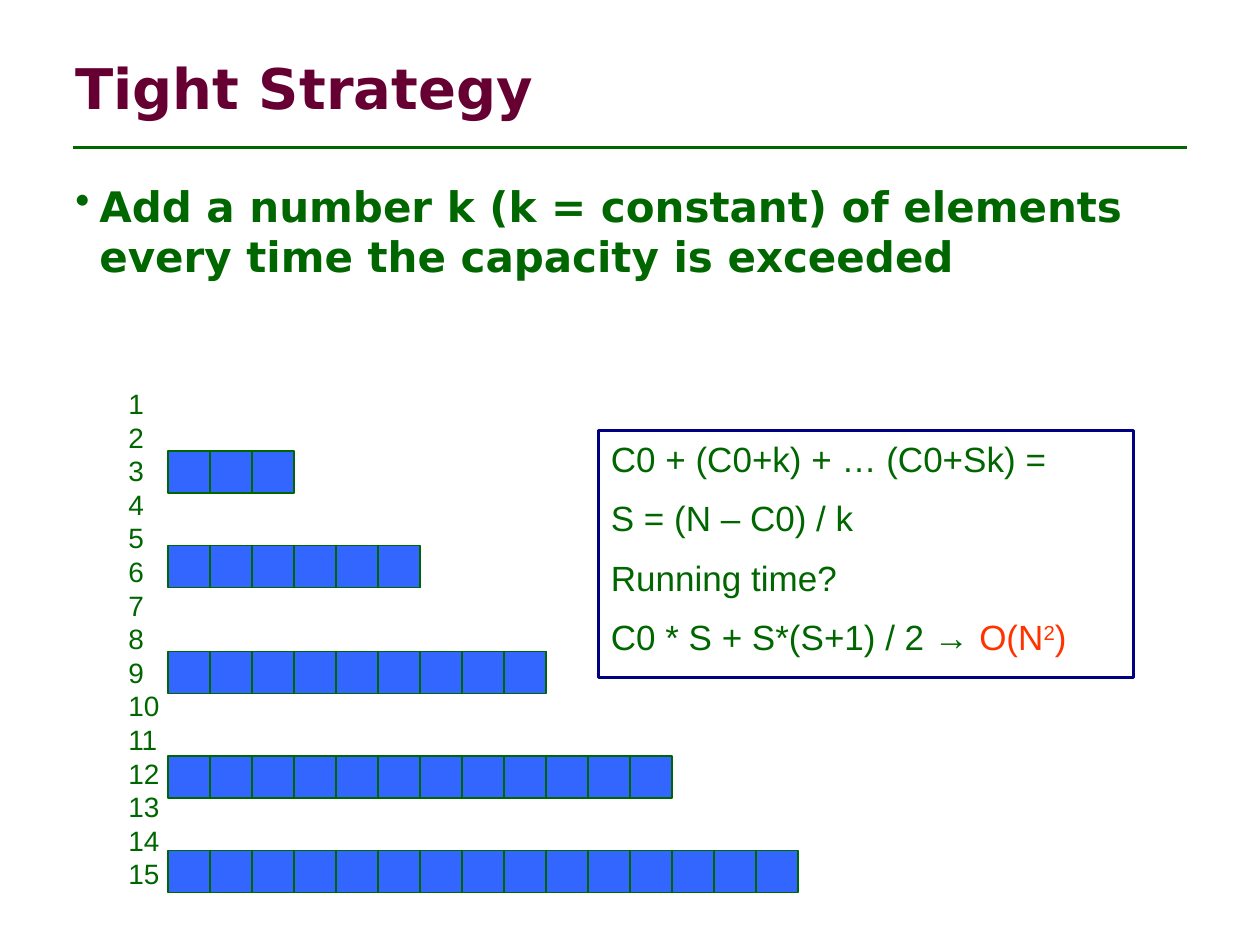
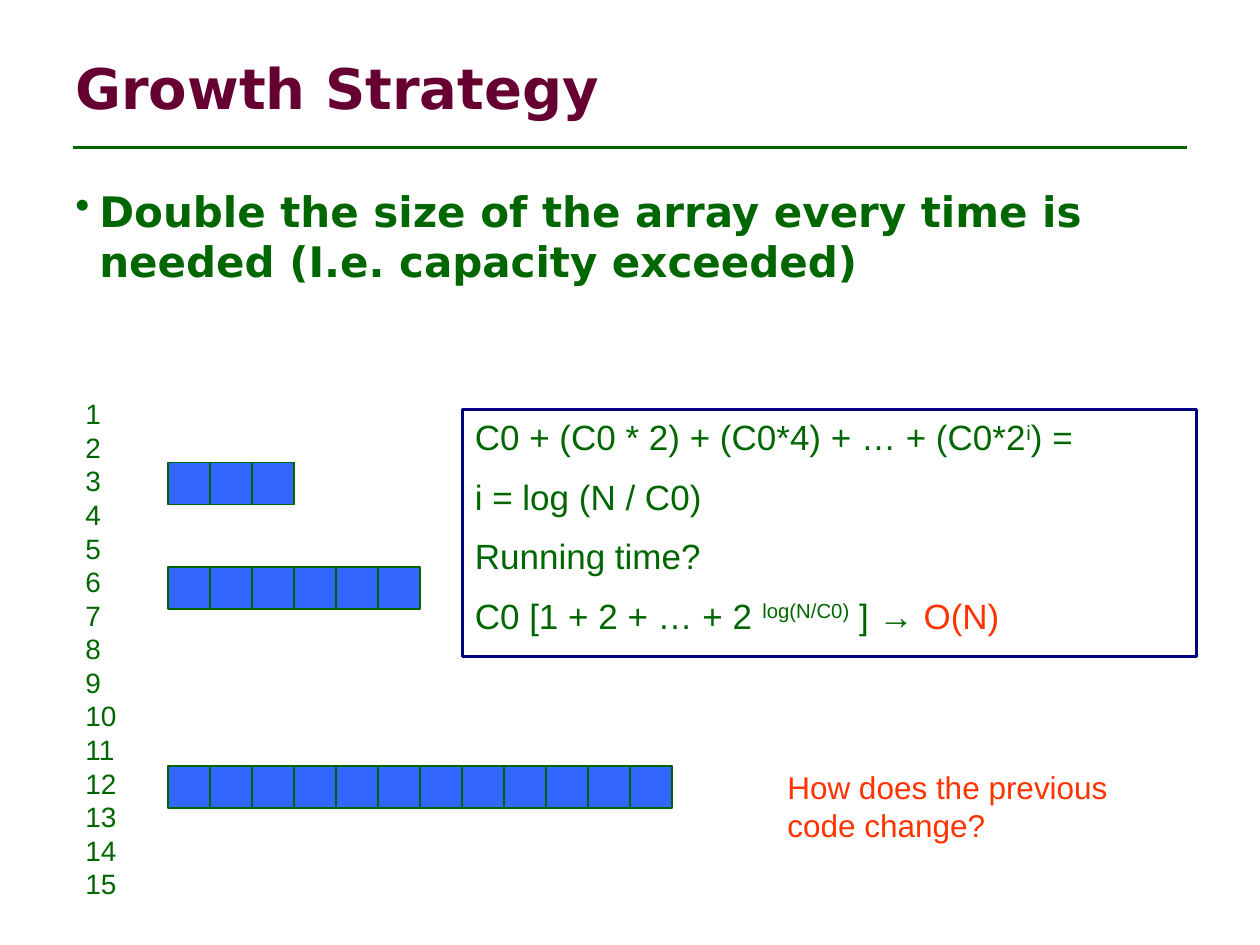
from lxml import etree
from pptx import Presentation
from pptx.dml.color import RGBColor
from pptx.enum.shapes import MSO_CONNECTOR, MSO_SHAPE
from pptx.enum.text import MSO_ANCHOR, PP_ALIGN
from pptx.oxml.ns import qn
from pptx.util import Inches, Pt

RECTANGLE = MSO_SHAPE.RECTANGLE
STRAIGHT = MSO_CONNECTOR.STRAIGHT
TOP, MIDDLE = MSO_ANCHOR.TOP, MSO_ANCHOR.MIDDLE
LEFT = PP_ALIGN.LEFT

GREEN = RGBColor(0x00, 0x66, 0x00)
MAROON = RGBColor(0x66, 0x00, 0x33)
BLUE = RGBColor(0x33, 0x66, 0xFF)
NAVY = RGBColor(0x00, 0x00, 0x80)
ORANGE = RGBColor(0xFF, 0x33, 0x00)

HEADING_FONT = "DejaVu Sans"
TEXT_FONT = "Arial"
CELL = 1 / 3
ARRAY_LEFT = 4 / 3
FIRST_BLOCK, ADDED_BLOCK = 6, 3


class Deck:
    def __init__(self):
        self.presentation = Presentation()
        self.presentation.slide_width = Inches(10)
        self.presentation.slide_height = Inches(7.5)
        self.slide = None

    def add_slide(self, title):
        layout = self.presentation.slide_layouts[6]
        self.slide = self.presentation.slides.add_slide(layout)
        self.line(self.slide.shapes, (0.58, 1.17), (9.42, 1.17), 1.5)
        frame = self.text_box(0.5, 0.3, 9, 0.78)
        frame.vertical_anchor = MIDDLE
        self.run(frame.paragraphs[0], title, 32, MAROON, HEADING_FONT, bold=True)

    def line(self, shapes, start, end, width):
        ends = [Inches(value) for value in (*start, *end)]
        connector = shapes.add_connector(STRAIGHT, *ends)
        connector.line.color.rgb = GREEN
        connector.line.width = Pt(width)
        etree.SubElement(connector._element.spPr, qn("a:effectLst"))

    def rectangle(self, shapes, left, top, width, height, line_color, line_width):
        box = shapes.add_shape(
            RECTANGLE, Inches(left), Inches(top), Inches(width), Inches(height))
        box.shadow.inherit = False
        box.fill.background()
        box.line.color.rgb = line_color
        box.line.width = Pt(line_width)
        return box

    def text_box(self, left, top, width, height):
        box = self.slide.shapes.add_textbox(
            Inches(left), Inches(top), Inches(width), Inches(height))
        box.text_frame.word_wrap = True
        return box.text_frame

    def run(self, paragraph, text, size, color=GREEN, font=TEXT_FONT,
            bold=False, raised=False):
        run = paragraph.add_run()
        run.text = text
        run.font.size = Pt(size)
        run.font.name = font
        run.font.bold = bold
        run.font.color.rgb = color
        if raised:
            run.font._element.set("baseline", "30000")

    def space_before(self, paragraph, percent):
        paragraph.space_before = Pt(0)
        spacing = paragraph._p.pPr.find(qn("a:spcBef"))
        spacing.clear()
        etree.SubElement(spacing, qn("a:spcPct"), val=str(percent * 1000))

    def lines(self, frame, texts, size, color=GREEN):
        for index, text in enumerate(texts):
            paragraph = frame.add_paragraph() if index else frame.paragraphs[0]
            self.run(paragraph, text, size, color)

    def bullet(self, text, top):
        paragraph = self.text_box(0.5, top, 9, 5.28).paragraphs[0]
        self.space_before(paragraph, 20)
        properties = paragraph._p.pPr
        properties.set("marL", str(Inches(0.19)))
        properties.set("indent", str(-Inches(0.19)))
        etree.SubElement(properties, qn("a:buChar"), char="•")
        self.run(paragraph, text, 24, GREEN, HEADING_FONT, bold=True)

    def array(self, cells, top):
        start = 0
        while start < cells:
            wide = start == 0 and cells >= FIRST_BLOCK
            count = FIRST_BLOCK if wide else ADDED_BLOCK
            self.block(start, count, top)
            start += count

    def block(self, start, count, top):
        shapes = self.slide.shapes.add_group_shape().shapes
        left = ARRAY_LEFT + start * CELL
        body = self.rectangle(shapes, left, top, count * CELL, CELL, GREEN, 0.75)
        body.fill.solid()
        body.fill.fore_color.rgb = BLUE
        for cell in range(1, count + 1):
            edge = left + cell * CELL
            self.line(shapes, (edge, top), (edge, top + CELL), 0.75)

    def insert_counts(self, left, top, width):
        frame = self.text_box(left, top, width, 4.14)
        self.lines(frame, [str(count) for count in range(1, 16)], 16)

    def formulas(self, left, top, width, rows):
        box = self.rectangle(self.slide.shapes, left, top, width, 1.96, NAVY, 1.75)
        frame = box.text_frame
        frame.word_wrap = True
        frame.vertical_anchor = TOP
        for index, row in enumerate(rows):
            paragraph = frame.add_paragraph() if index else frame.paragraphs[0]
            paragraph.alignment = LEFT
            self.space_before(paragraph, 50)
            for text, style in row:
                self.run(paragraph, text, 20, **style)

    def question(self, texts):
        self.lines(self.text_box(6.15, 6.05, 3.35, 0.9), texts, 18, ORANGE)


PLAIN = {}
RAISED = {"raised": True}
RESULT = {"color": ORANGE}
RESULT_RAISED = {"color": ORANGE, "raised": True}

deck = Deck()

deck.add_slide("Tight Strategy")
deck.bullet("Add a number k (k = constant) of elements every time "
            "the capacity is exceeded", 1.38)
for cells, top in ((3, 3.58), (6, 4.33), (9, 5.17), (12, 6), (15, 6.75)):
    deck.array(cells, top)
deck.insert_counts(0.92, 3.02, 0.66)
deck.formulas(4.75, 3.42, 4.25, [
    [("C0 + (C0+k) + … (C0+Sk) =", PLAIN)],
    [("S = (N – C0) / k", PLAIN)],
    [("Running time?", PLAIN)],
    [("C0 * S + S*(S+1) / 2 → ", PLAIN), ("O(N", RESULT),
     ("2", RESULT_RAISED), (")", RESULT)],
])

deck.add_slide("Growth Strategy")
deck.bullet("Double the size of the array every time is needed "
            "(I.e. capacity exceeded)", 1.42)
for cells, top in ((3, 3.67), (6, 4.5), (12, 6.08)):
    deck.array(cells, top)
deck.insert_counts(0.58, 3.1, 0.57)
deck.formulas(3.67, 3.25, 5.83, [
    [("C0 + (C0 * 2) + (C0*4) + … + (C0*2", PLAIN), ("i", RAISED), (") =", PLAIN)],
    [("i = log (N / C0)", PLAIN)],
    [("Running time?", PLAIN)],
    [("C0 [1 + 2 + … + 2 ", PLAIN), ("log(N/C0)", RAISED),
     (" ] → ", PLAIN), ("O(N)", RESULT)],
])
deck.question(["How does the previous", "code change?"])

deck.presentation.save("out.pptx")
